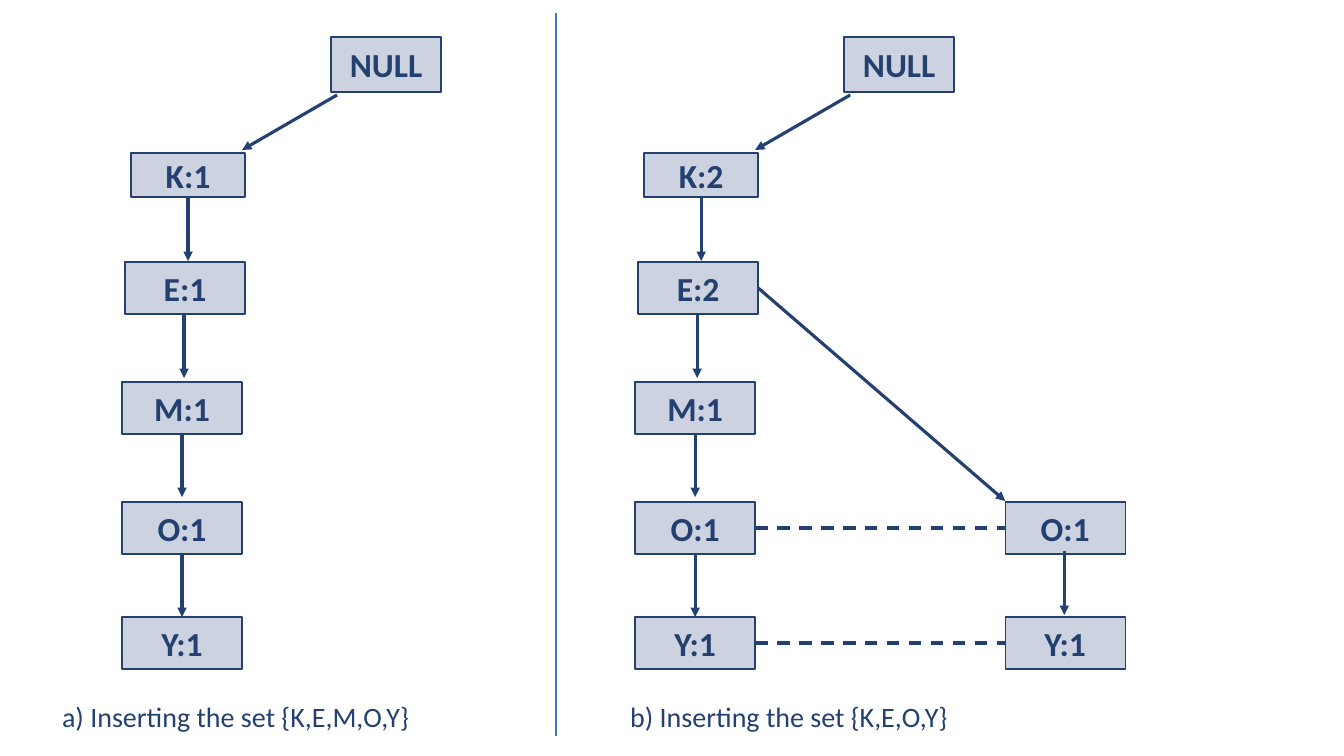
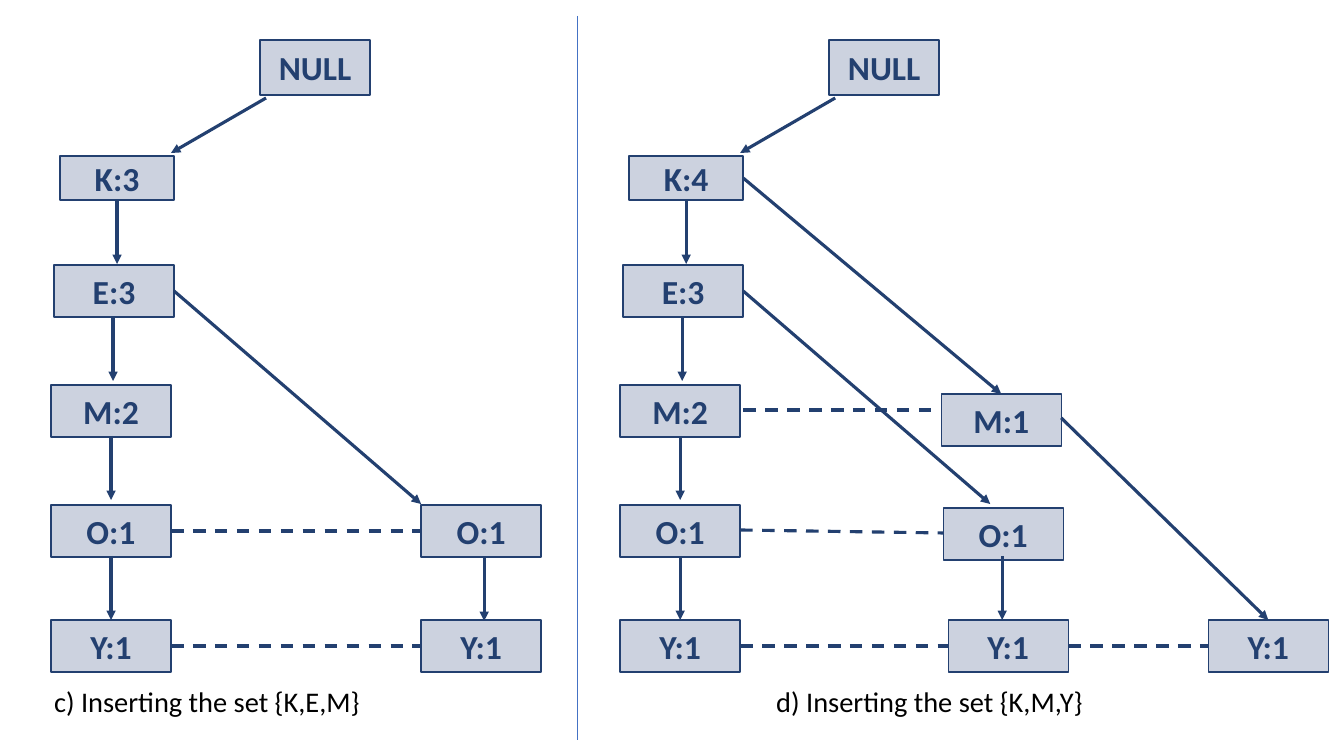
from lxml import etree
from pptx import Presentation
from pptx.dml.color import RGBColor
from pptx.enum.dml import MSO_LINE as Dash
from pptx.enum.shapes import MSO_CONNECTOR as Conn, MSO_SHAPE as Geo
from pptx.enum.text import MSO_ANCHOR as Anchor, PP_ALIGN as Align
from pptx.oxml.ns import qn
from pptx.util import Inches, Pt

NAVY, PALE, BLUE, BLACK = "234070", "CCD2DF", "4472C4", "000000"
FONT = "Calibri"
WIDE, HIGH = 120, 52  # usual node size

# Main column, measured from its left edge: left, top, width, height
NODES = [(209, 37, 110, 55), (9, 153, 114, 44), (3, 262, WIDE, HIGH),
         (0, 382, WIDE, HIGH), (0, 502, WIDE, HIGH), (0, 617, WIDE, HIGH)]
STEPS = [(215, 95, 120, 150), (66, 198, 66, 261), (62, 314, 62, 378),
         (60, 433, 60, 497), (60, 553, 60, 617)]


def px(n):
    return round(n * 914400 / 100.8)


def rgb(code):
    return RGBColor.from_string(code)


class Deck:
    def __init__(self):
        self.prs = Presentation()
        self.prs.slide_width, self.prs.slide_height = Inches(13.33), Inches(7.5)

    def page(self):
        self.slide = self.prs.slides.add_slide(self.prs.slide_layouts[6])
        self.shapes = self.slide.shapes

    def text(self, frame, words, size, color, bold=False):
        frame.word_wrap = True
        frame.vertical_anchor = Anchor.MIDDLE
        para = frame.paragraphs[0]
        para.alignment = Align.CENTER if bold else Align.LEFT
        run = para.add_run()
        run.text = words
        font = run.font
        font.name, font.size, font.bold = FONT, Pt(size), bold
        font.color.rgb = rgb(color)

    def node(self, name, x, y, w=WIDE, h=HIGH):
        box = self.shapes.add_shape(Geo.RECTANGLE, px(x), px(y), px(w), px(h))
        box.shadow.inherit = False
        box.fill.solid()
        box.fill.fore_color.rgb = rgb(PALE)
        box.line.color.rgb = rgb(NAVY)
        box.line.width = Pt(1)
        self.text(box.text_frame, name, 24, NAVY, True)

    def line(self, x1, y1, x2, y2, color=NAVY, width=2.25):
        link = self.shapes.add_connector(
            Conn.STRAIGHT, px(x1), px(y1), px(x2), px(y2))
        link.line.color.rgb = rgb(color)
        link.line.width = Pt(width)
        etree.SubElement(link.element.spPr, qn("a:effectLst"))
        return link

    def arrow(self, *ends):
        link = self.line(*ends)
        etree.SubElement(link.get_or_add_ln(), qn("a:tailEnd"), type="triangle")

    def dash(self, *ends):
        self.line(*ends).line.dash_style = Dash.DASH

    def label(self, words, x, y, size, color):
        box = self.shapes.add_textbox(px(x), px(y), px(400), px(34))
        frame = box.text_frame
        frame.margin_left = frame.margin_right = 0
        frame.margin_top = frame.margin_bottom = 0
        self.text(frame, words, size, color)

    def tree(self, x, y, names):
        for name, (dx, dy, w, h) in zip(names.split(), NODES):
            self.node(name, x + dx, y + dy, w, h)
        for x1, y1, x2, y2 in STEPS:
            self.arrow(x + x1, y + y1, x + x2, y + y2)

    def branch(self, x, y, stem, top):
        side = x + 370
        for name, dy in (("O:1", 502), ("Y:1", 617)):
            self.node(name, side, y + dy)
            self.dash(x + WIDE, y + dy + 26, side, y + dy + 26)
        self.arrow(x + 123, y + 288, side, y + 501)
        self.arrow(x + stem, top, x + stem, top + 64)


deck = Deck()

# Slide 1: first two sets
deck.page()
deck.tree(122, 0, "NULL K:1 E:1 M:1 O:1 Y:1")
deck.tree(635, 0, "NULL K:2 E:2 M:1 O:1 Y:1")
deck.branch(635, 0, 429, 551)
deck.line(556, 13, 556, 736, BLUE, 1)
deck.label("a) Inserting the set {K,E,M,O,Y}", 62, 699, 20, NAVY)
deck.label("b) Inserting the set {K,E,O,Y}", 630, 699, 20, NAVY)

# Slide 2: last two sets
deck.page()
deck.tree(51, 3, "NULL K:3 E:3 M:2 O:1 Y:1")
deck.branch(51, 3, 433, 557)
deck.tree(620, 3, "NULL K:4 E:3 M:2 O:1 Y:1")
deck.line(577, 16, 577, 740, BLUE, 0.5)

# Side nodes of the last tree
for name, x, y in [("M:1", 941, 394), ("O:1", 943, 508),
                   ("Y:1", 948, 620), ("Y:1", 1208, 620)]:
    deck.node(name, x, y)
for ends in [(743, 178, 1001, 394), (743, 291, 990, 504),
             (1061, 418, 1268, 620), (1002, 556, 1002, 620)]:
    deck.arrow(*ends)
for ends in [(743, 410, 938, 410), (740, 530, 943, 533),
             (740, 646, 948, 646), (1068, 646, 1208, 646)]:
    deck.dash(*ends)
deck.label("c) Inserting the set {K,E,M}", 54, 684, 20.3, BLACK)
deck.label("d) Inserting the set {K,M,Y}", 776, 684, 20.3, BLACK)

deck.prs.save("out.pptx")
